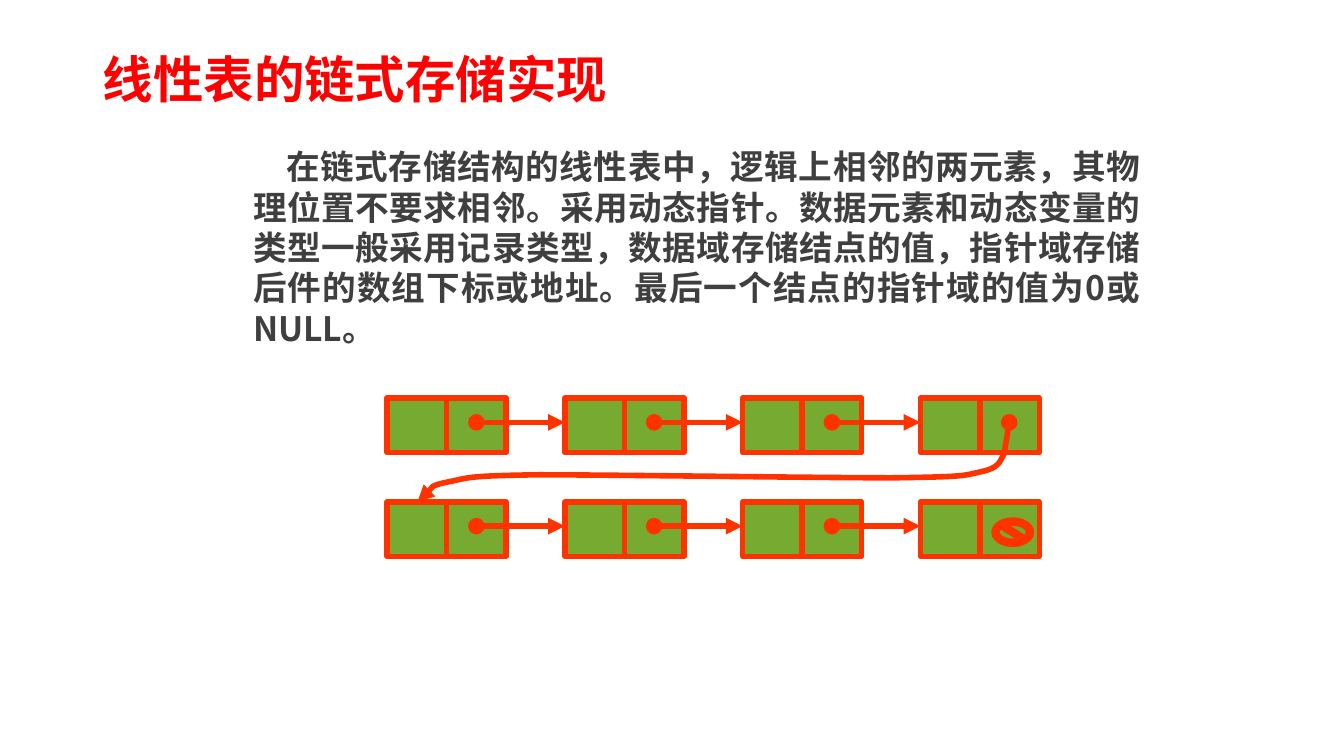
import pptx
import pptx.dml.color
import pptx.enum.shapes
import pptx.enum.text
import pptx.oxml
import pptx.oxml.ns
import pptx.util
from pptx.util import Inches, Pt

# Content
TITLE = "线性表的链式存储实现"
EXPLANATION = (
    "在链式存储结构的线性表中，逻辑上相邻的两元素，其物理位置不要求相邻。"
    "采用动态指针。数据元素和动态变量的类型一般采用记录类型，数据域存储结点的值，"
    "指针域存储后件的数组下标或地址。最后一个结点的指针域的值为0或NULL。"
)
FONT = "Noto Sans CJK SC"
RED, TEXT_GRAY, NODE_GREEN, LINK_ORANGE = "FF0000", "3F3F3F", "76AA30", "FF3300"

# Linked list: two rows of four nodes, each a data cell and a pointer cell
NODES_PER_ROW = 4
ROW_TOPS = (3.95, 4.98)
LIST_LEFT, NODE_PITCH = 3.84, 1.763
CELL_WIDTH, CELL_HEIGHT = 0.59, 0.54
POINTER_DROP = 0.24
LINK_WIDTH = 4

# Link between the rows: a straight start, then cubic curves of three points
ROW_LINK_START = (10.01, 4.19)
ROW_LINK_POINTS = [
    (9.96, 4.5),
    (9.91, 4.59), (9.91, 4.64), (9.73, 4.68),
    (9.55, 4.72), (9.58, 4.73), (8.85, 4.74),
    (8.12, 4.74), (6.08, 4.71), (5.34, 4.71),
    (4.61, 4.72), (4.65, 4.74), (4.45, 4.78),
    (4.25, 4.82), (4.2, 4.94), (4.14, 4.98),
]
NULL_MARK = (9.86, 5.16, 0.37, 0.24)


def color(hex_string):
    return pptx.dml.color.RGBColor.from_string(hex_string)


def add_xml(parent, tag, **attributes):
    child = pptx.oxml.parse_xml(f"<a:{tag} {pptx.oxml.ns.nsdecls('a')}/>")
    for name, value in attributes.items():
        child.set(name, value)
    parent.append(child)


def write(placeholder, box, text, size, hex_string):
    placeholder.left, placeholder.top, placeholder.width, placeholder.height = map(Inches, box)
    frame = placeholder.text_frame
    frame.word_wrap = True
    frame.auto_size = pptx.enum.text.MSO_AUTO_SIZE.NONE
    paragraph = frame.paragraphs[0]
    run = paragraph.add_run()
    run.text = text
    run.font.size, run.font.bold, run.font.name = Pt(size), True, FONT
    run.font.color.rgb = color(hex_string)
    add_xml(run.font._element, "ea", typeface=FONT)
    return paragraph


def style_line(shape):
    shape.line.color.rgb = color(LINK_ORANGE)
    shape.line.width = Pt(LINK_WIDTH)


def style_link(link):
    style_line(link)
    line = link.line._get_or_add_ln()
    add_xml(line, "headEnd", type="oval")
    add_xml(line, "tailEnd", type="triangle")


def add_green(shapes, kind, box):
    shape = shapes.add_shape(kind, *map(Inches, box))
    shape.shadow.inherit = False
    shape.fill.solid()
    shape.fill.fore_color.rgb = color(NODE_GREEN)
    style_line(shape)
    return shape


def add_row_link(shapes):
    builder = shapes.build_freeform(*map(Inches, ROW_LINK_START))
    builder.add_line_segments([(Inches(x), Inches(y)) for x, y in ROW_LINK_POINTS], close=False)
    link = builder.convert_to_shape()
    link.shadow.inherit = False
    link.fill.background()
    # Turn each group of three points after the straight start into one curve
    segments = list(link._element.iter(pptx.oxml.ns.qn("a:lnTo")))[1:]
    for first in range(0, len(segments), 3):
        curve = pptx.oxml.parse_xml(f"<a:cubicBezTo {pptx.oxml.ns.nsdecls('a')}/>")
        segments[first].addprevious(curve)
        for segment in segments[first:first + 3]:
            curve.append(segment[0])
            segment.getparent().remove(segment)
    style_link(link)


def main():
    deck = pptx.Presentation()
    deck.slide_width, deck.slide_height = Inches(13.33), Inches(7.5)
    slide = deck.slides.add_slide(deck.slide_layouts[1])
    shapes = slide.shapes

    # Title
    heading = write(shapes.title, (0.92, 0.4, 11.5, 0.84), TITLE, 36, RED)
    heading.alignment = pptx.enum.text.PP_ALIGN.LEFT
    heading.line_spacing = 0.9
    shapes.title.text_frame.vertical_anchor = pptx.enum.text.MSO_ANCHOR.MIDDLE

    # Explanation
    explanation = write(slide.placeholders[1], (2.41, 1.4, 9, 4.5), EXPLANATION, 24, TEXT_GRAY)
    explanation.alignment = pptx.enum.text.PP_ALIGN.JUSTIFY
    explanation.space_before = Pt(0)
    explanation.line_spacing = Pt(28.8)
    properties = explanation._p.get_or_add_pPr()
    properties.set("marL", "0")
    properties.set("indent", str(Inches(0.33)))
    add_xml(properties, "buNone")

    # Nodes and the arrows inside each row
    for top in ROW_TOPS:
        for node in range(NODES_PER_ROW):
            left = LIST_LEFT + node * NODE_PITCH
            for cell in range(2):
                add_green(shapes, pptx.enum.shapes.MSO_SHAPE.RECTANGLE,
                          (left + cell * CELL_WIDTH, top, CELL_WIDTH, CELL_HEIGHT))
            if node < NODES_PER_ROW - 1:
                y = top + POINTER_DROP
                ends = (left + 1.5 * CELL_WIDTH, y, left + NODE_PITCH, y)
                link = shapes.add_connector(pptx.enum.shapes.MSO_CONNECTOR.STRAIGHT,
                                            *map(Inches, ends))
                style_link(link)
                add_xml(link._element.spPr, "effectLst")

    # Link to the second row and the null pointer
    add_row_link(shapes)
    null_mark = add_green(shapes, pptx.enum.shapes.MSO_SHAPE.NO_SYMBOL, NULL_MARK)
    null_mark.adjustments[0] = 0.12

    deck.save("out.pptx")


if __name__ == "__main__":
    main()
